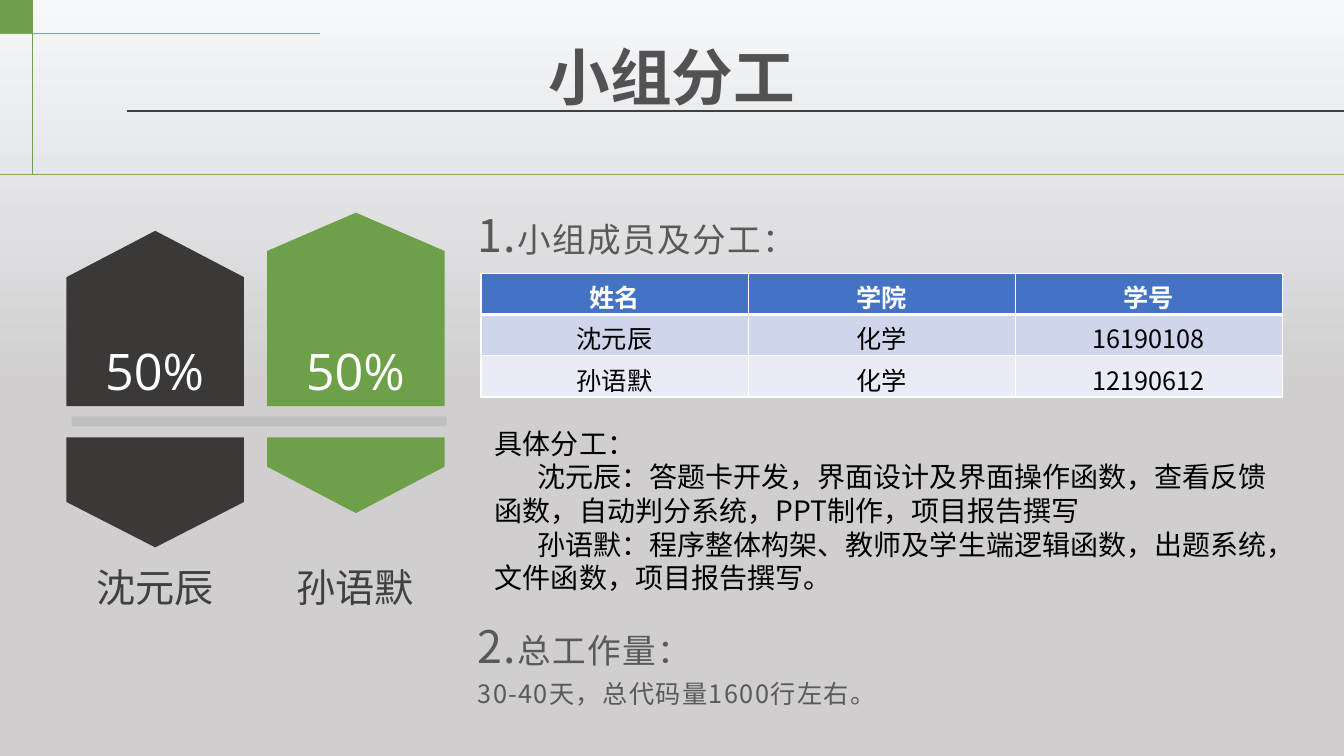
import pptx
import pptx.dml.color
import pptx.enum.shapes
import pptx.enum.text
import pptx.oxml
import pptx.oxml.ns
import pptx.util
from pptx.oxml.xmlchemy import OxmlElement

EMU_PER_PX = 9144
CJK = "Noto Sans CJK JP"
ALIGN = pptx.enum.text.PP_ALIGN
DARK, GREEN, PALE_GREEN = "3B3838", "6EA049", "7CAE57"
INK, GREY, WHITE, BLACK = "404040", "595959", "FFFFFF", "000000"


def px(length):
    """Turn px into EMU."""
    return pptx.util.Emu(length * EMU_PER_PX)


def color(value):
    """Turn a hex string into a colour."""
    return pptx.dml.color.RGBColor.from_string(value)


def paint(shape, fill):
    """Give a shape a flat fill with no outline or shadow."""
    shape.shadow.inherit = False
    shape.fill.solid()
    shape.fill.fore_color.rgb = color(fill)
    shape.line.fill.background()


def add_rule(slide, start, end, stroke, weight):
    """Draw a straight line between two points."""
    rule = slide.shapes.add_connector(
        pptx.enum.shapes.MSO_CONNECTOR.STRAIGHT, *map(px, start + end))
    rule.line.color.rgb = color(stroke)
    rule.line.width = pptx.util.Pt(weight)
    rule._element.spPr.append(OxmlElement("a:effectLst"))


def add_bar(slide, left, top, width, height, fill):
    """Draw a filled rectangle."""
    bar = slide.shapes.add_shape(
        pptx.enum.shapes.MSO_SHAPE.RECTANGLE, *map(px, (left, top, width, height)))
    paint(bar, fill)


def add_point(slide, left, width, base, shoulder, tip, fill):
    """Draw a block with a flat base and a pointed far end."""
    right = left + width
    outline = slide.shapes.build_freeform(left, base, scale=EMU_PER_PX)
    outline.add_line_segments([(right, base), (right, shoulder),
                               (left + width // 2, tip), (left, shoulder)])
    paint(outline.convert_to_shape(), fill)


def add_run(paragraph, text, size, ink, font=CJK, bold=False, spacing=0):
    """Append one styled run to a paragraph."""
    run = paragraph.add_run()
    run.text = text
    run.font.size = pptx.util.Pt(size)
    run.font.bold = bold
    run.font.color.rgb = color(ink)
    run.font.name = font
    properties = run.font._element
    east_asian = OxmlElement("a:ea")
    east_asian.set("typeface", font)
    properties.append(east_asian)
    if spacing:
        properties.set("spc", str(spacing * 100))


def add_text(slide, box, paragraphs, align=None, leading=None, wrap=True, **style):
    """Place paragraphs given as (first-line indent, runs) in a text box."""
    frame = slide.shapes.add_textbox(*map(px, box)).text_frame
    frame.word_wrap = wrap
    for index, (indent, runs) in enumerate(paragraphs):
        paragraph = frame.add_paragraph() if index else frame.paragraphs[0]
        paragraph.alignment = align
        paragraph.line_spacing = leading
        if indent:
            properties = paragraph._p.get_or_add_pPr()
            properties.set("marL", "0")
            properties.set("indent", str(px(indent)))
        for text, size, ink in runs:
            add_run(paragraph, text, size, ink, **style)


def add_borders(cell, top, bottom):
    """Edge a cell in white, with its own top and bottom weights."""
    for side, weight in (("L", 1), ("R", 1), ("T", top), ("B", bottom)):
        cell._tc.get_or_add_tcPr().append(pptx.oxml.parse_xml(
            f'<a:ln{side} {pptx.oxml.ns.nsdecls("a")} w="{weight * 12700}">'
            f'<a:solidFill><a:srgbClr val="{WHITE}"/></a:solidFill></a:ln{side}>'))


def add_members(slide, left, top, column, row, records, fills):
    """Build the member table with a header row."""
    members = slide.shapes.add_table(
        len(records), len(records[0]), px(left), px(top),
        px(column * len(records[0])), px(row * len(records))).table
    for width in members.columns:
        width.width = px(column)
    for r, (record, fill) in enumerate(zip(records, fills)):
        members.rows[r].height = px(row)
        for c, text in enumerate(record):
            cell = members.cell(r, c)
            add_borders(cell, 3 if r == 1 else 1, 3 if r == 0 else 1)
            cell.fill.solid()
            cell.fill.fore_color.rgb = color(fill)
            cell.margin_top, cell.margin_bottom = px(5), px(0)
            paragraph = cell.text_frame.paragraphs[0]
            paragraph.alignment = ALIGN.CENTER
            add_run(paragraph, text, 18, BLACK if r else WHITE, bold=r == 0)


def set_background(slide, top, bottom):
    """Fade the background downwards to a flat lower half."""
    fill = slide.background.fill
    fill.gradient()
    fill.gradient_angle = 270
    for stop, tint, position in zip(fill.gradient_stops, (top, bottom), (0, 0.52)):
        stop.color.rgb = color(tint)
        stop.position = position


def main():
    """Build the group work slide."""
    deck = pptx.Presentation()
    deck.slide_width, deck.slide_height = px(1333), px(750)
    slide = deck.slides.add_slide(deck.slide_layouts[6])
    set_background(slide, "F6F8FC", "D0CECE")

    add_rule(slide, (126, 110), (1333, 110), INK, 1)
    add_rule(slide, (0, 33), (317, 33), PALE_GREEN, 0.75)
    add_rule(slide, (32, 0), (32, 173), GREEN, 0.75)
    add_bar(slide, 0, 0, 32, 33, GREEN)
    add_rule(slide, (0, 173), (1333, 173), PALE_GREEN, 1)
    add_text(slide, (533, 34, 267, 84), [(0, [("小组分工", 44, "525252")])],
             ALIGN.CENTER, wrap=False, bold=True)

    shares = [("沈元辰", 66, DARK, (275, 229), (498, 543)),
              ("孙语默", 265, GREEN, (249, 211), (463, 509))]
    for name, left, fill, upper, lower in shares:
        add_point(slide, left, 176, 403, *upper, fill)
        add_point(slide, left, 176, 434, *lower, fill)
        add_text(slide, (left - 6, 332, 187, 71), [(0, [("50%", 36, WHITE)])],
                 ALIGN.CENTER, font="Open Sans")
        add_text(slide, (left - 6, 554, 187, 57), [(0, [(name, 28, INK)])],
                 ALIGN.CENTER)
    add_bar(slide, 71, 413, 372, 10, "BFBFBF")

    add_text(slide, (464, 190, 828, 109),
             [(0, [("1.", 32, GREY), ("小组成员及分工：", 24, GREY)])],
             ALIGN.JUSTIFY, 1.2, spacing=1)
    add_text(slide, (464, 598, 532, 109),
             [(0, [("2.", 32, GREY), ("总工作量：", 24, GREY)]),
              (0, [("30-40天，总代码量1600行左右。", 18, GREY)])],
             ALIGN.JUSTIFY, 1.2, spacing=1)
    add_members(slide, 477, 271, 265, 41,
                [("姓名", "学院", "学号"),
                 ("沈元辰", "化学", "16190108"),
                 ("孙语默", "化学", "12190612")],
                ("4472C4", "CFD5EA", "E9EBF5"))
    duties = [
        (0, "具体分工："),
        (42, "沈元辰：答题卡开发，界面设计及界面操作函数，查看反馈函数，"
             "自动判分系统，PPT制作，项目报告撰写"),
        (42, "孙语默：程序整体构架、教师及学生端逻辑函数，出题系统，"
             "文件函数，项目报告撰写。")]
    add_text(slide, (481, 418, 792, 209),
             [(indent, [(duty, 20, BLACK)]) for indent, duty in duties])

    deck.save("out.pptx")


if __name__ == "__main__":
    main()
